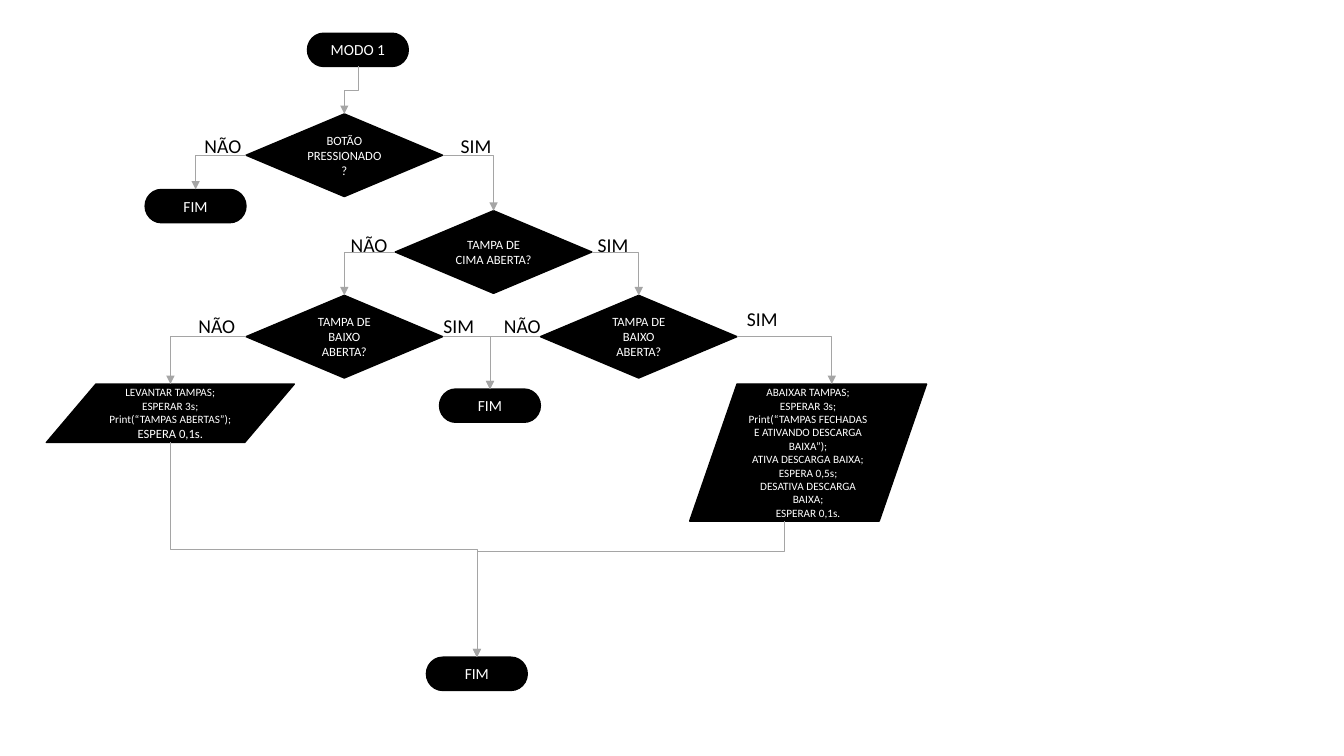
from lxml.etree import SubElement
from pptx import Presentation
from pptx.dml.color import RGBColor
from pptx.enum.shapes import MSO_CONNECTOR as LINK, MSO_SHAPE as SHAPE
from pptx.enum.text import MSO_ANCHOR as ANCHOR, MSO_AUTO_SIZE as FIT, PP_ALIGN as ALIGN
from pptx.oxml.ns import qn
from pptx.util import Inches, Pt

BLACK, WHITE, GREY = "000000", "FFFFFF", "A5A5A5"
TOP, LEFT, BOTTOM, RIGHT = (0, 0.5, 0), (1, 0, 0.5), (2, 0.5, 1), (3, 1, 0.5)
ACTION_TOP, ACTION_TOP_RIGHT = (1, 0.5, 0), (0, 0.6, 0)
ACTION_BOTTOM, ACTION_BOTTOM_LEFT = (4, 0.5, 1), (3, 0.4, 1)


def color(hex_code):
    """Return the colour for a hex string."""
    return RGBColor.from_string(hex_code)


def write(frame, lines, sizes, ink, align):
    """Write one paragraph per line, each with its own size."""
    for number, (line, size) in enumerate(zip(lines, sizes)):
        paragraph = frame.add_paragraph() if number else frame.paragraphs[0]
        paragraph.alignment = align
        run = paragraph.add_run()
        run.text = line
        for key, value in {"name": "Calibri", "size": Pt(size)}.items():
            setattr(run.font, key, value)
        run.font.color.rgb = color(ink)


def add_step(slide, kind, box, lines, sizes):
    """Add a black flowchart step with centred white text."""
    step = slide.shapes.add_shape(kind, *map(Inches, box))
    step.shadow.inherit = False
    step.fill.solid()
    step.fill.fore_color.rgb = color(BLACK)
    step.line.color.rgb = color(BLACK)
    step.line.width = Pt(1)
    step.text_frame.vertical_anchor = ANCHOR.MIDDLE
    write(step.text_frame, lines, sizes, WHITE, ALIGN.CENTER)
    return step


def add_terminal(slide, left, top, text="FIM"):
    """Add a start or end step."""
    return add_step(slide, SHAPE.FLOWCHART_TERMINATOR, (left, top, 1, 0.33), [text], [11])


def add_question(slide, left, top, text):
    """Add a decision step."""
    return add_step(slide, SHAPE.FLOWCHART_DECISION, (left, top, 1.95, 0.82), [text], [9])


def add_action(slide, box, lines, last_size=8):
    """Add an input or output step listing its commands."""
    sizes = [8] * (len(lines) - 1) + [last_size]
    return add_step(slide, SHAPE.FLOWCHART_DATA, box, lines, sizes)


def add_answer(slide, text, left, top):
    """Add a branch label."""
    width = 0.51 if text == "SIM" else 0.57
    answer = slide.shapes.add_textbox(*map(Inches, (left, top, width, 0.34)))
    for key, value in {"word_wrap": False, "auto_size": FIT.SHAPE_TO_FIT_TEXT}.items():
        setattr(answer.text_frame, key, value)
    write(answer.text_frame, [text], [14], BLACK, ALIGN.LEFT)


def site_point(step, site):
    """Return the position of a connection site."""
    return step.left + step.width * site[1], step.top + step.height * site[2]


def link(slide, start, start_site, end, end_site, bend=0.5):
    """Join two steps with a bent arrow that leaves by the given site."""
    (x1, y1), (x2, y2) = site_point(start, start_site), site_point(end, end_site)
    arrow = slide.shapes.add_connector(LINK.ELBOW, 0, 0, 0, 0)
    arrow.line.color.rgb = color(GREY)
    arrow.line.width = Pt(0.5)
    properties = arrow.line._get_or_add_ln()
    SubElement(properties, qn("a:tailEnd"), type="triangle")
    SubElement(arrow._element.spPr, qn("a:effectLst"))
    ends = arrow._element.find(".//" + qn("p:cNvCxnSpPr"))
    for tag, step, site in (("a:stCxn", start, start_site), ("a:endCxn", end, end_site)):
        SubElement(ends, qn(tag), id=str(step.shape_id), idx=str(site[0]))

    width, height = abs(x2 - x1), abs(y2 - y1)
    geometry = arrow._element.spPr.find(qn("a:prstGeom"))
    xfrm = arrow._element.spPr.find(qn("a:xfrm"))
    if start_site in (LEFT, RIGHT):
        geometry.set("prst", "bentConnector2")
        turn, flip = (0, None) if x2 > x1 else (180, "flipV")
    else:
        width, height = height, width
        turn, flip = (270, "flipH") if x2 > x1 else (90, None)
        guides = geometry.find(qn("a:avLst"))
        SubElement(guides, qn("a:gd"), name="adj1", fmla=f"val {round(bend * 100000)}")
    if turn:
        xfrm.set("rot", str(turn * 60000))
    if flip:
        xfrm.set(flip, "1")
    frame = {"left": (x1 + x2 - width) / 2, "top": (y1 + y2 - height) / 2,
             "width": width, "height": height}
    for key, value in frame.items():
        setattr(arrow, key, round(value))


def main():
    """Build the flowchart slide."""
    deck = Presentation()
    deck.slide_width, deck.slide_height = Inches(13.33), Inches(7.5)
    slide = deck.slides.add_slide(deck.slide_layouts[6])

    mode = add_terminal(slide, 3.05, 0.33, "MODO 1")
    button = add_question(slide, 2.44, 1.13, "BOTÃO PRESSIONADO?")
    upper_lid = add_question(slide, 3.92, 2.09, "TAMPA DE CIMA ABERTA?")
    lower_left, lower_right = [
        add_question(slide, left, 2.93, "TAMPA DE BAIXO ABERTA?") for left in (2.44, 5.36)]
    raise_lids = add_action(slide, (0.46, 3.81, 2.46, 0.58), [
        "LEVANTAR TAMPAS;", "ESPERAR 3s;", "Print(“TAMPAS ABERTAS”);", "ESPERA 0,1s."], 9)
    close_lids = add_action(slide, (6.84, 3.81, 2.35, 1.36), [
        "ABAIXAR TAMPAS;", "ESPERAR 3s;",
        "Print(“TAMPAS FECHADAS E ATIVANDO DESCARGA BAIXA”);",
        "ATIVA DESCARGA BAIXA;", "ESPERA 0,5s;", "DESATIVA DESCARGA BAIXA;", "ESPERAR 0,1s."])
    idle_end, middle_end, final_end = [
        add_terminal(slide, *place) for place in ((1.44, 1.88), (4.36, 3.86), (4.23, 6.52))]

    link(slide, mode, BOTTOM, button, TOP)
    for start, side, end, site in (
            (button, LEFT, idle_end, TOP), (button, RIGHT, upper_lid, TOP),
            (upper_lid, LEFT, lower_left, TOP), (upper_lid, RIGHT, lower_right, TOP),
            (lower_left, LEFT, raise_lids, ACTION_TOP), (lower_left, RIGHT, middle_end, TOP),
            (lower_right, LEFT, middle_end, TOP),
            (lower_right, RIGHT, close_lids, ACTION_TOP_RIGHT)):
        link(slide, start, side, end, site)
    link(slide, raise_lids, ACTION_BOTTOM, final_end, TOP)
    link(slide, close_lids, ACTION_BOTTOM_LEFT, final_end, TOP, 0.22)

    for text, places in {
            "NÃO": ((1.93, 1.28), (3.38, 2.26), (1.87, 3.07), (4.9, 3.07)),
            "SIM": ((4.47, 1.28), (5.83, 2.26), (4.3, 3.07), (7.31, 3))}.items():
        for place in places:
            add_answer(slide, text, *place)
    deck.save("out.pptx")


main()
